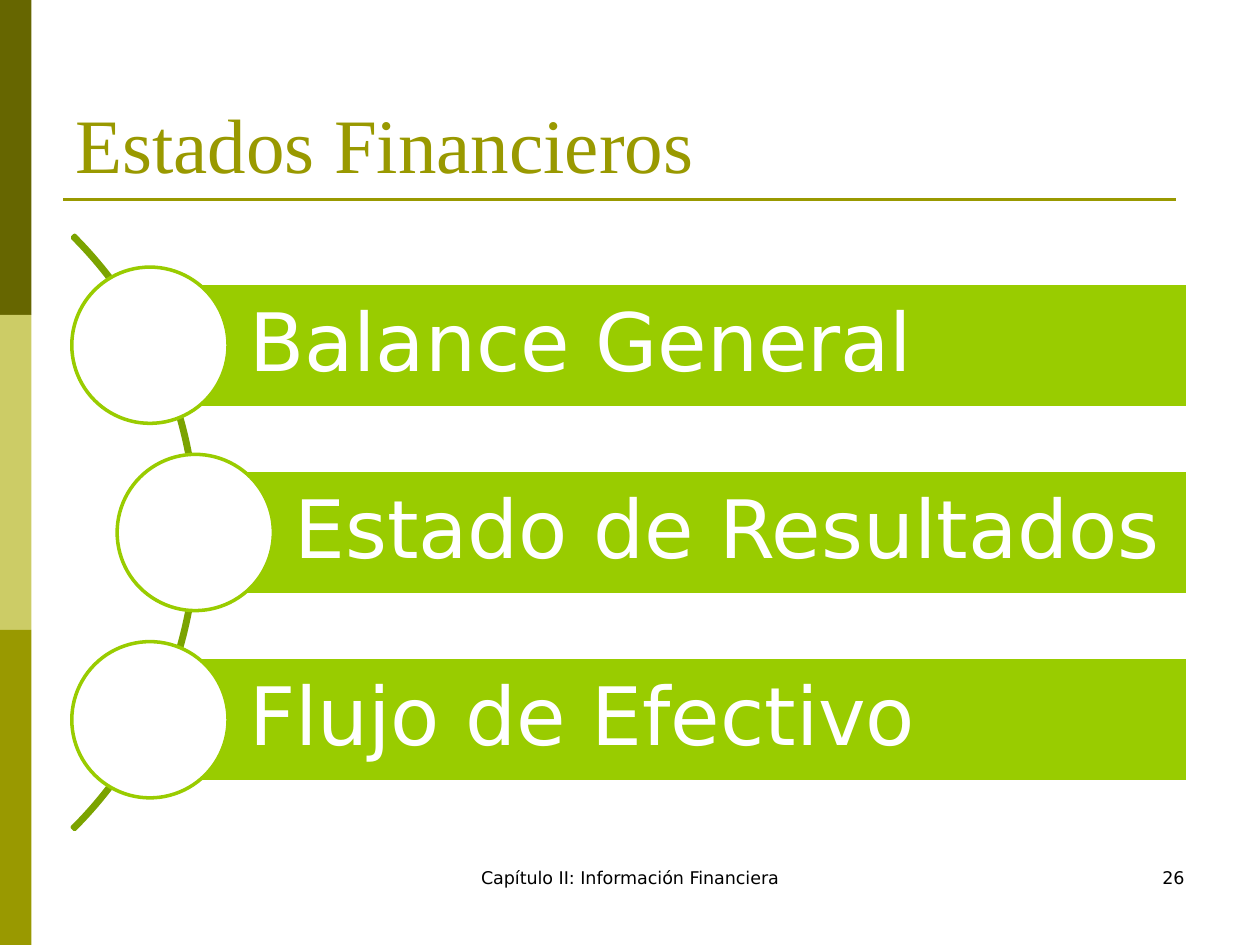
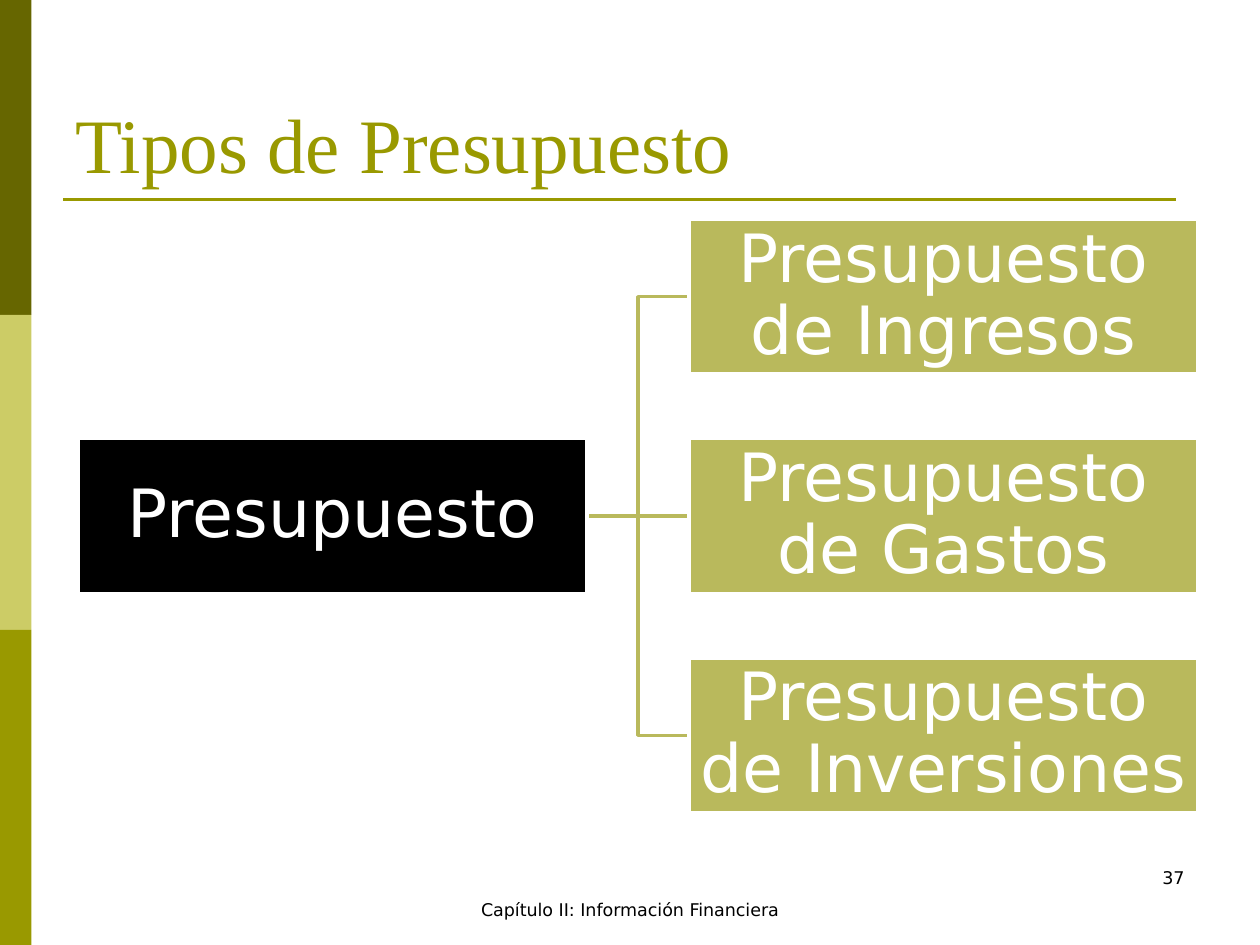
import dataclasses

import lxml.etree
import pptx
import pptx.dml.color
import pptx.enum.shapes
import pptx.enum.text
import pptx.oxml.ns
import pptx.shapes.autoshape
import pptx.shapes.connector
import pptx.slide
import pptx.text.text
import pptx.util

Pt = pptx.util.Pt
ShapeKind = pptx.enum.shapes.MSO_SHAPE
ConnectorKind = pptx.enum.shapes.MSO_CONNECTOR
Align = pptx.enum.text.PP_ALIGN
Anchor = pptx.enum.text.MSO_ANCHOR


@dataclasses.dataclass(frozen=True)
class Theme:
    white: str = "FFFFFF"
    black: str = "000000"
    olive: str = "999900"
    dark_olive: str = "666600"
    pale_olive: str = "CCCC66"
    green: str = "99CC00"
    dark_green: str = "7BA300"
    khaki: str = "B9B95C"
    title_font: str = "Times New Roman"
    body_font: str = "DejaVu Sans"
    title_size: float = 44
    statement_size: float = 46
    budget_size: float = 38
    footer_size: float = 10
    line_width: float = 2
    rule_width: float = 1.5


@dataclasses.dataclass(frozen=True)
class Box:
    left: float
    top: float
    width: float
    height: float


@dataclasses.dataclass(frozen=True)
class Statement:
    text: str
    center_x: float


@dataclasses.dataclass(frozen=True)
class Budget:
    text: str
    column: int
    row: int
    fill: str


THEME = Theme()
SLIDE_WIDTH, SLIDE_HEIGHT = 720, 540
BAND_WIDTH = 18
BAND_COLORS = (THEME.dark_olive, THEME.pale_olive, THEME.olive)
DEFAULT_INSETS = (7.2, 3.6, 7.2, 3.6)

STATEMENTS = (
    Statement("Balance General", 85.7),
    Statement("Estado de Resultados", 111.6),
    Statement("Flujo de Efectivo", 85.7),
)
STATEMENT_MIDDLE = 304.3
STATEMENT_PITCH = 107
BAR_RIGHT, BAR_HEIGHT = 679, 71.3
CIRCLE_SIZE = 89.3
ARC_LEFT, ARC_SIZE = -367.2, 480.2

ROOT_BUDGET = Budget("Presupuesto", 0, 1, THEME.black)
CHILD_BUDGETS = (
    Budget("Presupuesto de Ingresos", 1, 0, THEME.khaki),
    Budget("Presupuesto de Gastos", 1, 1, THEME.khaki),
    Budget("Presupuesto de Inversiones", 1, 2, THEME.khaki),
)
BUDGET_LEFT, BUDGET_TOP = 44.6, 125.3
BUDGET_WIDTH, BUDGET_HEIGHT = 290.9, 88.6
COLUMN_PITCH, ROW_PITCH = 349.2, 125.3


def rgb(color: str) -> pptx.dml.color.RGBColor:
    return pptx.dml.color.RGBColor.from_string(color)


def write_text(
    frame: pptx.text.text.TextFrame,
    text: str,
    *,
    size: float,
    color: str,
    font: str = THEME.body_font,
    align: Align = Align.LEFT,
    anchor: Anchor = Anchor.TOP,
    insets: tuple[float, float, float, float] = DEFAULT_INSETS,
    line_spacing: float = 1.0,
) -> None:
    frame.word_wrap = True
    frame.auto_size = pptx.enum.text.MSO_AUTO_SIZE.NONE
    frame.vertical_anchor = anchor
    frame.margin_left, frame.margin_top, frame.margin_right, frame.margin_bottom = map(Pt, insets)
    paragraph = frame.paragraphs[0]
    paragraph.alignment = align
    paragraph.line_spacing = line_spacing
    run = paragraph.add_run()
    run.text = text
    run.font.name = font
    run.font.size = Pt(size)
    run.font.color.rgb = rgb(color)


def add_box(
    slide: pptx.slide.Slide,
    kind: ShapeKind,
    box: Box,
    fill: str | None = None,
    line: str | None = None,
) -> pptx.shapes.autoshape.Shape:
    shape = slide.shapes.add_shape(kind, Pt(box.left), Pt(box.top), Pt(box.width), Pt(box.height))
    shape.shadow.inherit = False
    if fill:
        shape.fill.solid()
        shape.fill.fore_color.rgb = rgb(fill)
    else:
        shape.fill.background()
    if line:
        shape.line.color.rgb = rgb(line)
        shape.line.width = Pt(THEME.line_width)
    else:
        shape.line.fill.background()
    return shape


def add_line(
    slide: pptx.slide.Slide,
    kind: ConnectorKind,
    color: str,
    width: float,
    start: tuple[float, float] = (0, 0),
    end: tuple[float, float] = (0, 0),
) -> pptx.shapes.connector.Connector:
    connector = slide.shapes.add_connector(kind, *map(Pt, start + end))
    connector.line.color.rgb = rgb(color)
    connector.line.width = Pt(width)
    lxml.etree.SubElement(connector._element.spPr, pptx.oxml.ns.qn("a:effectLst"))
    return connector


def add_footer(slide: pptx.slide.Slide, text: str, box: Box, align: Align) -> None:
    shape = slide.shapes.add_textbox(Pt(box.left), Pt(box.top), Pt(box.width), Pt(box.height))
    write_text(shape.text_frame, text, size=THEME.footer_size, color=THEME.black, align=align)


def add_framed_slide(
    presentation: pptx.presentation.Presentation, title: str, number: int, footer_box: Box
) -> pptx.slide.Slide:
    slide = presentation.slides.add_slide(presentation.slide_layouts.get_by_name("Title Only"))
    band_height = SLIDE_HEIGHT / len(BAND_COLORS)
    for index, color in enumerate(BAND_COLORS):
        band = Box(0, index * band_height, BAND_WIDTH, band_height)
        add_box(slide, ShapeKind.RECTANGLE, band, color)
    add_line(slide, ConnectorKind.STRAIGHT, THEME.olive, THEME.rule_width, (36, 114), (672, 114))
    heading = slide.shapes.title
    heading.left, heading.top, heading.width, heading.height = map(Pt, (36, 21.6, 648, 90))
    write_text(
        heading.text_frame,
        title,
        size=THEME.title_size,
        color=THEME.olive,
        font=THEME.title_font,
        anchor=Anchor.BOTTOM,
    )
    add_footer(slide, str(number), Box(516, 492, 168, 36), Align.RIGHT)
    add_footer(slide, "Capítulo II: Información Financiera", footer_box, Align.CENTER)
    return slide


def draw_statement(slide: pptx.slide.Slide, statement: Statement, center_y: float) -> None:
    bar = add_box(
        slide,
        ShapeKind.RECTANGLE,
        Box(
            statement.center_x,
            center_y - BAR_HEIGHT / 2,
            BAR_RIGHT - statement.center_x,
            BAR_HEIGHT,
        ),
        THEME.green,
        THEME.white,
    )
    write_text(
        bar.text_frame,
        statement.text,
        size=THEME.statement_size,
        color=THEME.white,
        anchor=Anchor.MIDDLE,
        insets=(56.7, 9.2, 9.2, 9.2),
        line_spacing=0.9,
    )
    radius = CIRCLE_SIZE / 2
    circle = Box(statement.center_x - radius, center_y - radius, CIRCLE_SIZE, CIRCLE_SIZE)
    add_box(slide, ShapeKind.OVAL, circle, THEME.white, THEME.green)


def draw_statements(slide: pptx.slide.Slide) -> None:
    arc_box = Box(ARC_LEFT, STATEMENT_MIDDLE - ARC_SIZE / 2, ARC_SIZE, ARC_SIZE)
    arc = add_box(slide, ShapeKind.BLOCK_ARC, arc_box, line=THEME.dark_green)
    for index, value in enumerate((189, 27, 0.004)):
        arc.adjustments[index] = value
    for index, statement in enumerate(STATEMENTS):
        draw_statement(slide, statement, STATEMENT_MIDDLE + (index - 1) * STATEMENT_PITCH)


def draw_budget(slide: pptx.slide.Slide, budget: Budget) -> pptx.shapes.autoshape.Shape:
    box = Box(
        BUDGET_LEFT + budget.column * COLUMN_PITCH,
        BUDGET_TOP + budget.row * ROW_PITCH,
        BUDGET_WIDTH,
        BUDGET_HEIGHT,
    )
    shape = add_box(slide, ShapeKind.RECTANGLE, box, budget.fill, THEME.white)
    write_text(
        shape.text_frame,
        budget.text,
        size=THEME.budget_size,
        color=THEME.white,
        align=Align.CENTER,
        anchor=Anchor.MIDDLE,
        insets=(2, 2, 2, 2),
        line_spacing=0.9,
    )
    return shape


def draw_budgets(slide: pptx.slide.Slide) -> None:
    branches = [
        add_line(
            slide,
            ConnectorKind.STRAIGHT if child.row == ROOT_BUDGET.row else ConnectorKind.ELBOW,
            THEME.khaki,
            THEME.line_width,
        )
        for child in CHILD_BUDGETS
    ]
    root = draw_budget(slide, ROOT_BUDGET)
    for branch, child in zip(branches, CHILD_BUDGETS):
        branch.begin_connect(root, 3)
        branch.end_connect(draw_budget(slide, child), 1)


def main() -> None:
    presentation = pptx.Presentation()
    presentation.slide_width = Pt(SLIDE_WIDTH)
    presentation.slide_height = Pt(SLIDE_HEIGHT)
    draw_statements(
        add_framed_slide(presentation, "Estados Financieros", 26, Box(246, 492, 228, 36))
    )
    draw_budgets(
        add_framed_slide(presentation, "Tipos de Presupuesto", 37, Box(246, 510, 228, 18))
    )
    presentation.save("out.pptx")


if __name__ == "__main__":
    main()
